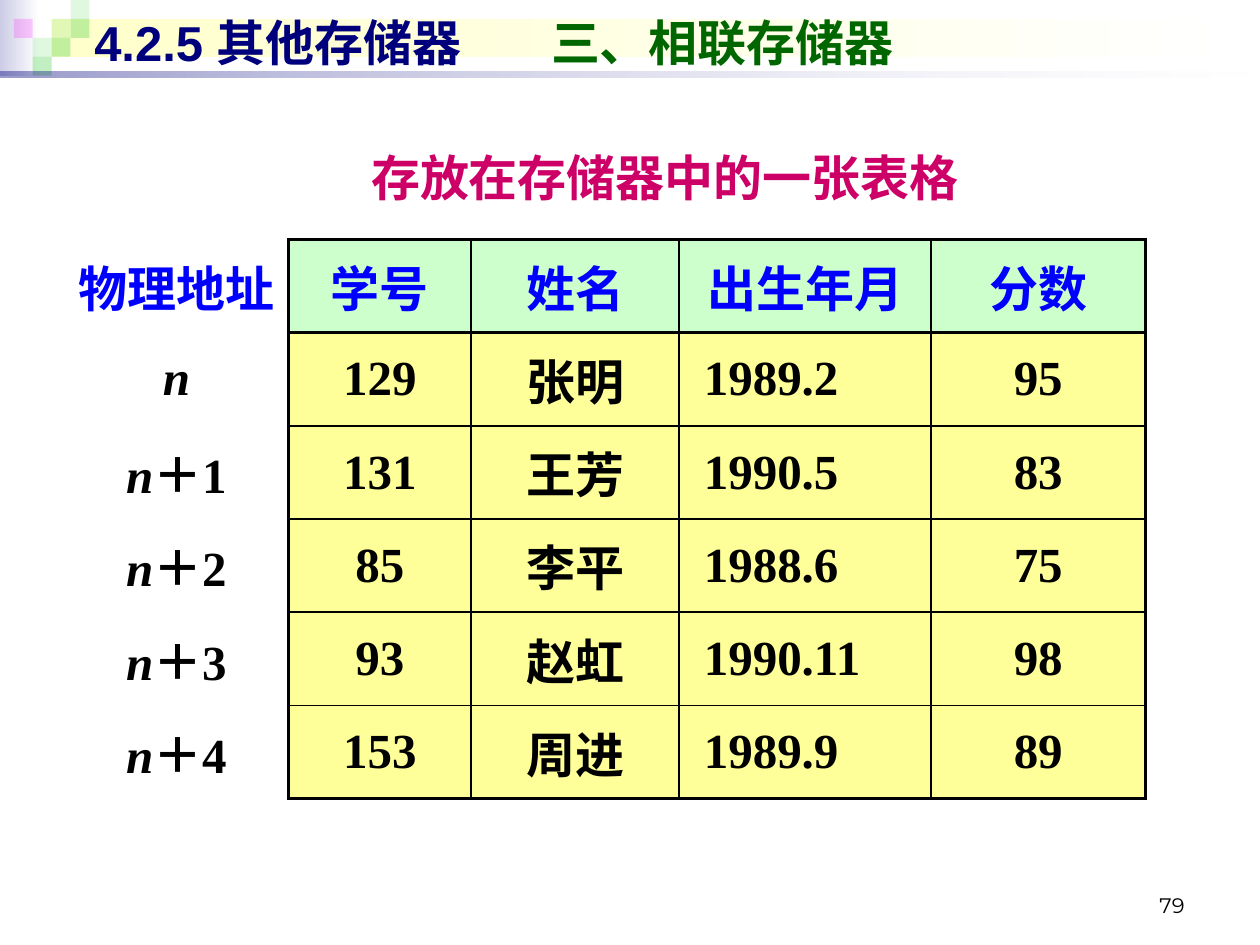
import pptx
import pptx.dml.color
import pptx.enum.shapes
import pptx.enum.text
import pptx.oxml
import pptx.oxml.ns
import pptx.util

Pt = pptx.util.Pt
RGBColor = pptx.dml.color.RGBColor
ALIGN = pptx.enum.text.PP_ALIGN
ANCHOR = pptx.enum.text.MSO_ANCHOR

BLACK = RGBColor(0x00, 0x00, 0x00)
WHITE = RGBColor(0xFF, 0xFF, 0xFF)
NAVY = RGBColor(0x00, 0x00, 0x7D)
BLUE = RGBColor(0x00, 0x00, 0xFF)
DARK_GREEN = RGBColor(0x00, 0x66, 0x00)
CRIMSON = RGBColor(0xCC, 0x00, 0x66)
LAVENDER = RGBColor(0xCC, 0xCC, 0xE6)
CREAM = RGBColor(0xFF, 0xFF, 0xCC)
SQUARE_GREEN = RGBColor(0x33, 0xCC, 0x33)
SQUARE_PINK = RGBColor(0xFF, 0x00, 0xFF)
HEADER_FILL = RGBColor(0xCC, 0xFF, 0xCC)
BODY_FILL = RGBColor(0xFF, 0xFF, 0x99)

HEADING = {"name": "Arial", "size": Pt(28), "bold": True}
BODY = {"name": "Times New Roman", "size": Pt(28), "bold": True}
NUMBER = {"name": "Montserrat", "size": Pt(12)}

THICK, THIN = 2.25, 1
SQUARE = 10.8
SQUARES_LEFT = 7.92
SQUARES = [  # column, row, colour, opacity in percent
    (2, 1, SQUARE_GREEN, 15), (3, 0, SQUARE_GREEN, 15),
    (3, 1, SQUARE_GREEN, 30), (1, 2, SQUARE_GREEN, 15),
    (0, 1, SQUARE_PINK, 20), (2, 2, SQUARE_GREEN, 30),
    (1, 3, SQUARE_GREEN, 30),
]

COLUMN_WIDTHS = [128.16, 104.4, 118.8, 144, 122.4]
ROW_HEIGHT = 53.28
DATE_COLUMN = 3
HEADERS = ["物理地址", "学号", "姓名", "出生年月", "分数"]
STUDENTS = [
    ("129", "张明", "1989.2", "95"),
    ("131", "王芳", "1990.5", "83"),
    ("85", "李平", "1988.6", "75"),
    ("93", "赵虹", "1990.11", "98"),
    ("153", "周进", "1989.9", "89"),
]


class SlideBuilder:
    def __init__(self, slide):
        self.slide = slide

    def set_alpha(self, element, percents):
        """Give each colour in the element its opacity in percent, in order."""
        colours = element.iter(pptx.oxml.ns.qn("a:srgbClr"))
        for colour, percent in zip(colours, percents):
            colour.append(pptx.oxml.parse_xml(
                f'<a:alpha {pptx.oxml.ns.nsdecls("a")} val="{percent * 1000}"/>'))

    def rectangle(self, left, top, width, height, colours, opacities=()):
        """Draw a rectangle; two colours make a left-to-right gradient."""
        shape = self.slide.shapes.add_shape(
            pptx.enum.shapes.MSO_SHAPE.RECTANGLE,
            Pt(left), Pt(top), Pt(width), Pt(height))
        shape.shadow.inherit = False
        shape.line.fill.background()
        if len(colours) == 1:
            shape.fill.solid()
            shape.fill.fore_color.rgb = colours[0]
        else:
            shape.fill.gradient()
            shape.fill.gradient_angle = 0
            for position, (stop, colour) in enumerate(
                    zip(shape.fill.gradient_stops, colours)):
                stop.position = position
                stop.color.rgb = colour
        self.set_alpha(shape.element.spPr, opacities)

    def add_runs(self, paragraph, runs, style, alignment):
        """Fill a paragraph with (text, colour, extra format) runs."""
        paragraph.alignment = alignment
        for text, colour, extra in runs:
            run = paragraph.add_run()
            run.text = text
            run.font.color.rgb = colour
            for name, value in {**style, **extra}.items():
                setattr(run.font, name, value)

    def text(self, left, top, width, height, runs, style, alignment, anchor):
        box = self.slide.shapes.add_textbox(
            Pt(left), Pt(top), Pt(width), Pt(height))
        frame = box.text_frame
        frame.word_wrap = True
        frame.vertical_anchor = anchor
        self.add_runs(frame.paragraphs[0], runs, style, alignment)
        return frame.paragraphs[0]

    def tab_stop(self, paragraph, position):
        properties = paragraph._p.get_or_add_pPr()
        properties.append(pptx.oxml.parse_xml(
            f'<a:tabLst {pptx.oxml.ns.nsdecls("a")}>'
            f'<a:tab pos="{Pt(position)}" algn="l"/></a:tabLst>'))

    def borders(self, cell, widths):
        """Set left, right, top and bottom borders; None means no line."""
        properties = cell._tc.get_or_add_tcPr()
        for index, (side, width) in enumerate(zip("LRTB", widths)):
            if width is None:
                size, fill = "", "<a:noFill/>"
            else:
                size = f'w="{Pt(width)}"'
                fill = f'<a:solidFill><a:srgbClr val="{BLACK}"/></a:solidFill>'
            properties.insert(index, pptx.oxml.parse_xml(
                f'<a:ln{side} {pptx.oxml.ns.nsdecls("a")} {size}>'
                f'{fill}</a:ln{side}>'))

    def table(self, left, top, rows):
        """Draw a table whose first column is an unframed row label."""
        row_count, column_count = len(rows), len(COLUMN_WIDTHS)
        table = self.slide.shapes.add_table(
            row_count, column_count, Pt(left), Pt(top),
            Pt(sum(COLUMN_WIDTHS)), Pt(ROW_HEIGHT * row_count)).table
        table.first_row = table.horz_banding = False
        for column, width in zip(table.columns, COLUMN_WIDTHS):
            column.width = Pt(width)
        vertical = [None, THICK] + [THIN] * (column_count - 2) + [THICK]
        horizontal = [THICK, THICK] + [THIN] * (row_count - 2) + [THICK]
        for r, row in enumerate(rows):
            table.rows[r].height = Pt(ROW_HEIGHT)
            for c, runs in enumerate(row):
                cell = table.cell(r, c)
                cell.vertical_anchor = ANCHOR.MIDDLE
                is_date = r > 0 and c == DATE_COLUMN
                if is_date:
                    cell.margin_left = Pt(14.2)
                self.add_runs(cell.text_frame.paragraphs[0], runs, BODY,
                              ALIGN.LEFT if is_date else ALIGN.CENTER)
                if c == 0:
                    cell.fill.background()
                    edges = [None, None]
                else:
                    cell.fill.solid()
                    cell.fill.fore_color.rgb = BODY_FILL if r else HEADER_FILL
                    edges = horizontal[r:r + 2]
                self.borders(cell, vertical[c:c + 2] + edges)


def table_rows():
    rows = [[[(header, BLUE, {})] for header in HEADERS]]
    for offset, student in enumerate(STUDENTS):
        address = [("n", BLACK, {"italic": True})]
        if offset:
            address.append((f"＋{offset}", BLACK, {}))
        rows.append([address] + [[(value, BLACK, {})] for value in student])
    return rows


def main():
    presentation = pptx.Presentation()
    presentation.slide_width, presentation.slide_height = Pt(720), Pt(540)
    slide = presentation.slides.add_slide(presentation.slide_layouts[6])
    builder = SlideBuilder(slide)

    builder.rectangle(0, 0, 22.5, 43.2, [LAVENDER, WHITE])
    builder.rectangle(29.5, 10.8, 687.6, 21.6, [CREAM, WHITE])
    for column, row, colour, opacity in SQUARES:
        builder.rectangle(SQUARES_LEFT + column * SQUARE, row * SQUARE,
                          SQUARE, SQUARE, [colour], [opacity])
    builder.rectangle(0, 41, 720, 3.6, [NAVY, WHITE], [40, 10])

    builder.text(516.24, 491.76, 167.76, 36, [("79", BLACK, {})],
                 NUMBER, ALIGN.RIGHT, ANCHOR.BOTTOM)
    title = builder.text(
        46.8, 3.6, 648, 41,
        [("4.2.5 其他存储器\t", NAVY, {}), ("三、相联存储器", DARK_GREEN, {})],
        HEADING, ALIGN.LEFT, ANCHOR.MIDDLE)
    builder.tab_stop(title, 261)
    builder.text(87.84, 80.64, 583.92, 45.36,
                 [("存放在存储器中的一张表格", CRIMSON, {})],
                 BODY, ALIGN.CENTER, ANCHOR.TOP)
    builder.table(36.72, 136.8, table_rows())

    presentation.save("out.pptx")


if __name__ == "__main__":
    main()
